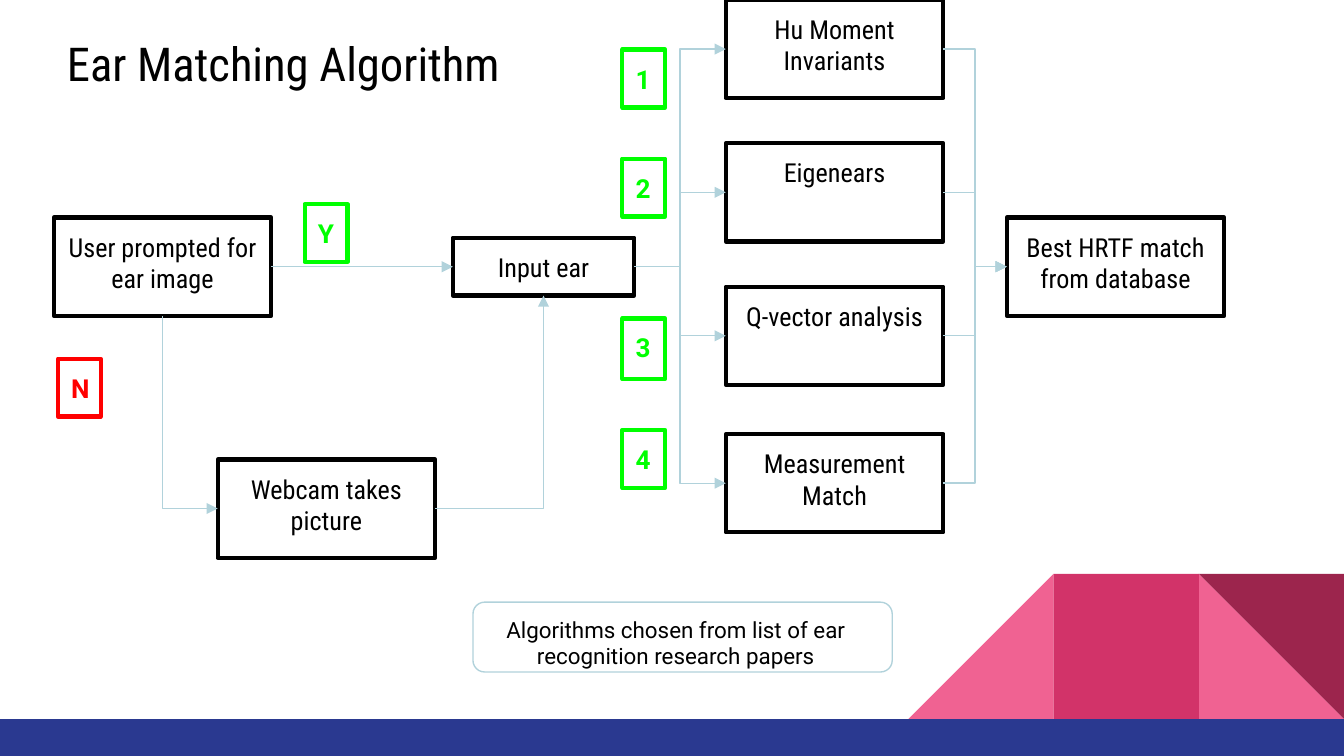
from dataclasses import dataclass
from typing import Optional

from lxml.etree import SubElement
from pptx import Presentation
from pptx.dml.color import RGBColor
from pptx.enum.shapes import MSO_CONNECTOR, MSO_SHAPE
from pptx.enum.text import MSO_ANCHOR, PP_ALIGN
from pptx.oxml.ns import qn
from pptx.util import Pt


@dataclass(frozen=True)
class Theme:
    black: str = "000000"
    white: str = "FFFFFF"
    green: str = "00FF00"
    red: str = "FF0000"
    link: str = "B1D2DB"
    pink: str = "F06292"
    rose: str = "D23369"
    wine: str = "9C254D"
    navy: str = "2A3990"
    head: str = "Roboto Condensed"
    body: str = "Roboto"
    title: float = 25
    text: float = 14
    note: float = 12
    thick: float = 2.25
    thin: float = 0.75
    inset: float = 7.2


@dataclass(frozen=True)
class Box:
    text: str
    left: float
    top: float
    width: float = 116.6
    height: float = 52.6


@dataclass(frozen=True)
class Badge:
    text: str
    left: float
    top: float
    color: str
    height: float = 31


@dataclass(frozen=True)
class Facet:
    kind: MSO_SHAPE
    column: int
    fill: str
    turn: float = 0
    flip: bool = False


THEME = Theme()
MID = 142.9  # height of the main flow line
LEFT, RIGHT, BOTTOM = 1, 3, 2  # connection sites

# Flow steps
USER = Box("User prompted for ear image", 28.8, MID - 26.3)
WEBCAM = Box("Webcam takes picture", 116.6, 246.2)
INPUT = Box("Input ear", 242.6, MID - 15.5, 97.2, 31)
MATCH = Box("Best HRTF match from database", 539.3, MID - 26.3)
METHODS = [
    Box(name, 388.8, top)
    for name, top in (
        ("Hu Moment Invariants", 0),
        ("Eigenears", 76.8),
        ("Q-vector analysis", 153.6),
        ("Measurement Match", 232.6),
    )
]
BADGES = [
    Badge("Y", 163.2, 109.4, THEME.green),
    Badge("N", 31, 192.2, THEME.red),
    Badge("1", 333.4, 26.6, THEME.green),
    Badge("2", 333.4, 85, THEME.green),
    Badge("3", 333.4, 170.6, THEME.green, 32.4),
    Badge("4", 333.4, 230.4, THEME.green),
]

# Corner pattern: square columns standing on the footer bar
SIDE, START, FLOOR = 77.8, 486.7, 385.2
FACETS = [
    Facet(MSO_SHAPE.RIGHT_TRIANGLE, 2, THEME.pink),
    Facet(MSO_SHAPE.RIGHT_TRIANGLE, 0, THEME.pink, flip=True),
    Facet(MSO_SHAPE.RECTANGLE, 1, THEME.rose),
    Facet(MSO_SHAPE.RIGHT_TRIANGLE, 2, THEME.wine, turn=180),
]


def add_form(slide, kind: MSO_SHAPE, left: float, top: float, width: float,
             height: float, fill: Optional[str] = None,
             line: Optional[str] = None, weight: float = THEME.thin):
    form = slide.shapes.add_shape(kind, Pt(left), Pt(top), Pt(width), Pt(height))
    form.shadow.inherit = False
    if fill:
        form.fill.solid()
        form.fill.fore_color.rgb = RGBColor.from_string(fill)
    else:
        form.fill.background()
    if line:
        form.line.color.rgb = RGBColor.from_string(line)
        form.line.width = Pt(weight)
    else:
        form.line.fill.background()
    return form


def set_text(form, text: str, size: float, face: str, color: str = THEME.black,
             align: PP_ALIGN = PP_ALIGN.CENTER, bold: bool = False):
    frame = form.text_frame
    frame.text = text
    frame.word_wrap = True
    frame.vertical_anchor = MSO_ANCHOR.TOP
    frame.margin_left = frame.margin_right = Pt(THEME.inset)
    frame.margin_top = frame.margin_bottom = Pt(THEME.inset)
    line = frame.paragraphs[0]
    line.alignment = align
    font = line.runs[0].font
    font.size, font.name, font.bold = Pt(size), face, bold
    font.color.rgb = RGBColor.from_string(color)
    return line


def add_box(slide, box: Box):
    form = add_form(slide, MSO_SHAPE.RECTANGLE, box.left, box.top, box.width,
                    box.height, THEME.white, THEME.black, THEME.thick)
    set_text(form, box.text, THEME.text, THEME.head)
    return form


def add_badge(slide, badge: Badge) -> None:
    form = add_form(slide, MSO_SHAPE.RECTANGLE, badge.left, badge.top, 23,
                    badge.height, line=badge.color, weight=THEME.thick)
    set_text(form, badge.text, THEME.text, THEME.body, badge.color,
             PP_ALIGN.LEFT, True)


def add_facet(slide, facet: Facet) -> None:
    form = add_form(slide, facet.kind, START + facet.column * SIDE,
                    FLOOR - SIDE, SIDE, SIDE, facet.fill)
    form.rotation = facet.turn
    if facet.flip:
        form.element.spPr.xfrm.set("flipH", "1")


def add_link(slide, first, last, exit: int = RIGHT, entry: int = LEFT,
             kind: MSO_CONNECTOR = MSO_CONNECTOR.ELBOW,
             corner: bool = False, arrow: str = "tailEnd") -> None:
    link = slide.shapes.add_connector(kind, 0, 0, 0, 0)
    link.begin_connect(first, exit)
    link.end_connect(last, entry)
    link.line.color.rgb = RGBColor.from_string(THEME.link)
    link.line.width = Pt(THEME.thin)
    props = link.element.spPr
    if corner:  # one bend in place of two
        props.find(qn("a:prstGeom")).set("prst", "bentConnector2")
    SubElement(props.find(qn("a:ln")), qn(f"a:{arrow}"), type="triangle")
    SubElement(props, qn("a:effectLst"))


def add_label(slide, left: float, top: float, width: float, height: float):
    return slide.shapes.add_textbox(Pt(left), Pt(top), Pt(width), Pt(height))


def main() -> None:
    deck = Presentation()
    deck.slide_width, deck.slide_height = Pt(720), Pt(405)
    slide = deck.slides.add_slide(deck.slide_layouts[6])

    # Backdrop
    for facet in FACETS:
        add_facet(slide, facet)
    add_form(slide, MSO_SHAPE.RECTANGLE, 0, FLOOR, 720, 405 - FLOOR, THEME.navy)

    # Boxes
    user, webcam, entry, match = (
        add_box(slide, box) for box in (USER, WEBCAM, INPUT, MATCH))
    methods = [add_box(slide, box) for box in METHODS]

    # Links
    add_link(slide, user, entry, kind=MSO_CONNECTOR.STRAIGHT)
    add_link(slide, webcam, user, LEFT, BOTTOM, corner=True, arrow="headEnd")
    add_link(slide, webcam, entry, RIGHT, BOTTOM, corner=True)
    for method in methods:
        add_link(slide, entry, method)
        add_link(slide, method, match)

    # Badges
    for badge in BADGES:
        add_badge(slide, badge)

    # Title
    title = add_label(slide, 28.8, 15.1, 302.4, 32.4)
    line = set_text(title, "Ear Matching Algorithm", THEME.title, THEME.head,
                    align=PP_ALIGN.LEFT)
    line.line_spacing = 0.9

    # Note
    add_form(slide, MSO_SHAPE.ROUNDED_RECTANGLE, 253.4, 322.6, 224.6, 37.4,
             THEME.white, THEME.link)
    note = add_label(slide, 249.8, 322.6, 224.6, 39.6)
    set_text(note, "Algorithms chosen from list of ear recognition research papers",
             THEME.note, THEME.body)

    deck.save("out.pptx")


if __name__ == "__main__":
    main()
